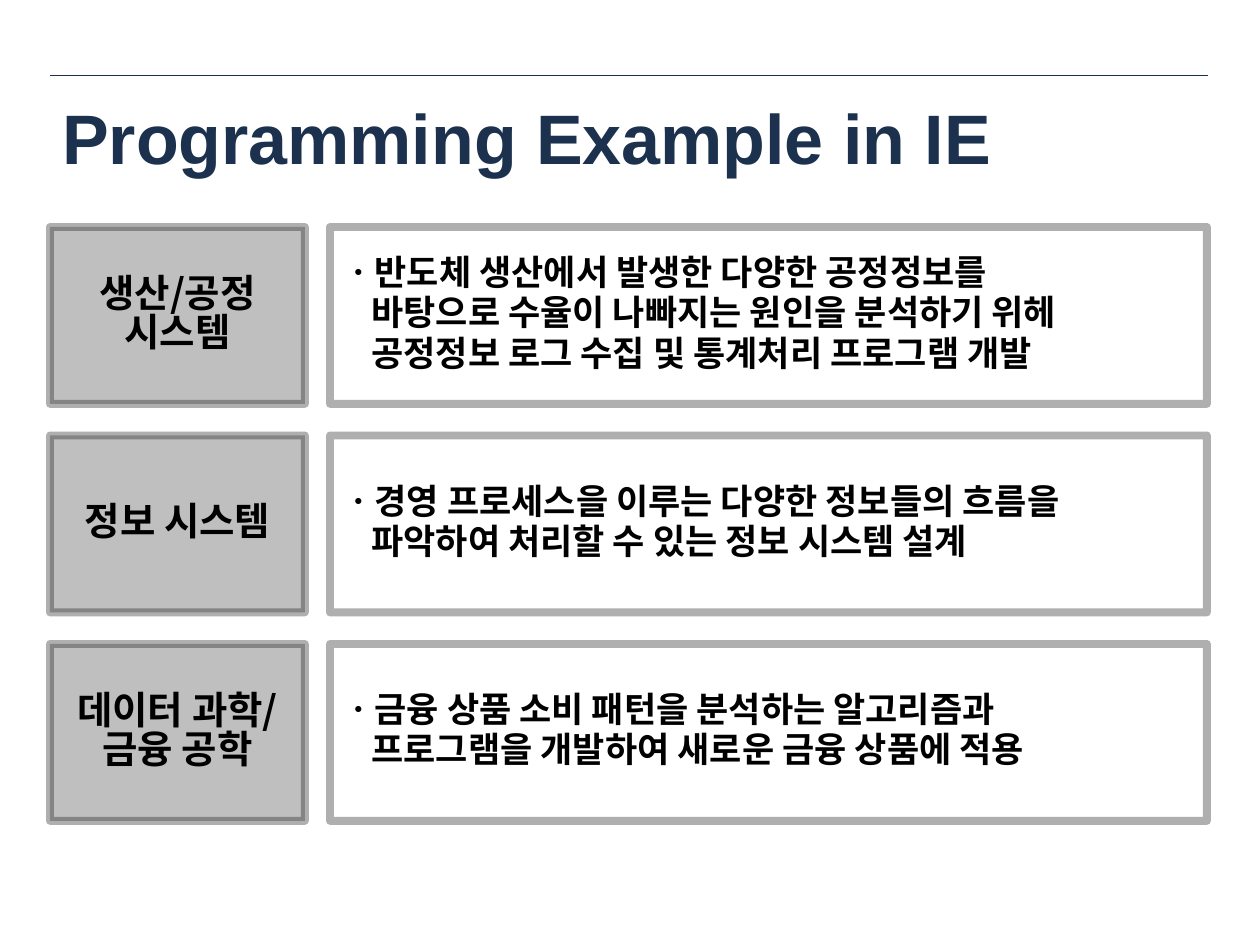
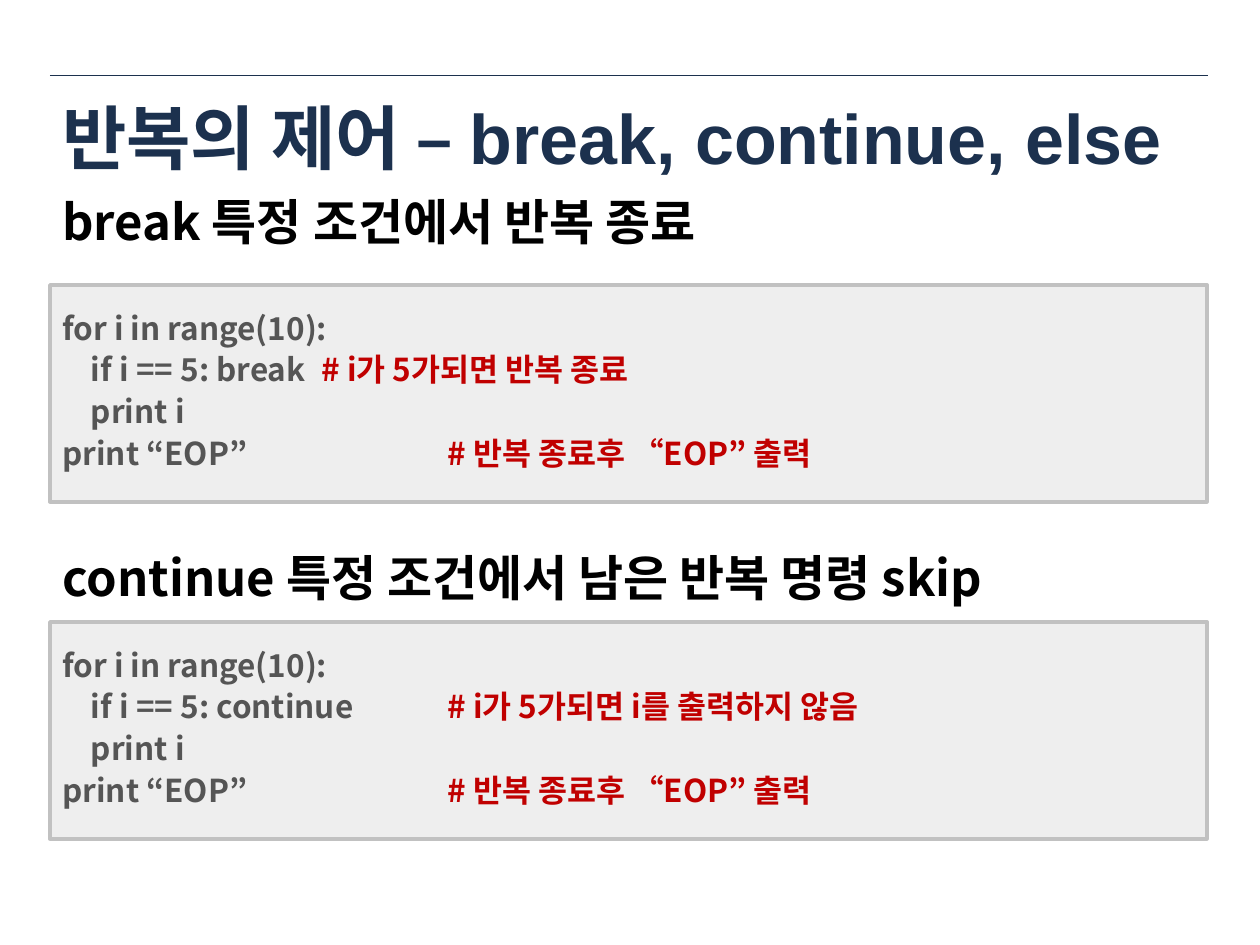
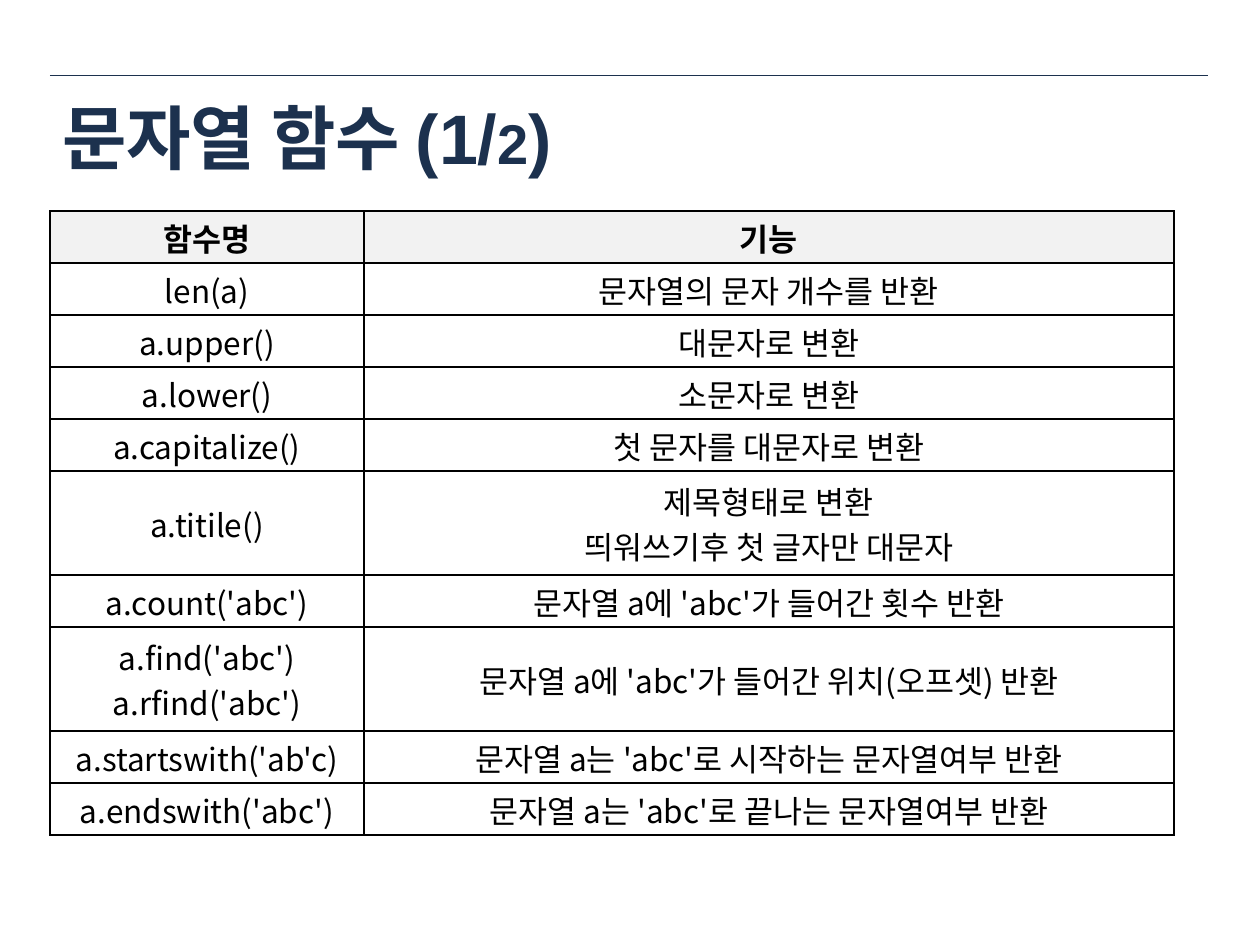
from lxml import etree
from pptx import Presentation
from pptx.dml.color import RGBColor
from pptx.enum.shapes import MSO_CONNECTOR, MSO_SHAPE
from pptx.enum.text import MSO_ANCHOR, PP_ALIGN
from pptx.oxml import parse_xml
from pptx.oxml.ns import nsdecls, qn
from pptx.util import Pt

RECTANGLE = MSO_SHAPE.RECTANGLE
STRAIGHT = MSO_CONNECTOR.STRAIGHT
MIDDLE = MSO_ANCHOR.MIDDLE
LEFT, CENTER = PP_ALIGN.LEFT, PP_ALIGN.CENTER

NAVY = RGBColor(0x1C, 0x31, 0x4E)
BLACK = RGBColor(0x00, 0x00, 0x00)
WHITE = RGBColor(0xFF, 0xFF, 0xFF)
LABEL_GRAY = RGBColor(0xBF, 0xBF, 0xBF)
BORDER_DARK = RGBColor(0x0D, 0x0D, 0x0D)
CODE_FILL = RGBColor(0xEE, 0xEE, 0xEE)
CODE_BORDER = RGBColor(0xC1, 0xC1, 0xC1)
CODE_TEXT = RGBColor(0x55, 0x55, 0x55)
COMMENT_RED = RGBColor(0xC0, 0x00, 0x00)
HEADER_FILL = RGBColor(0xF2, 0xF2, 0xF2)

TITLE_FONT = "Arial"
BODY_FONT = "Noto Sans CJK KR"
LINE_SPACING = 0.83
MARGIN = 50
CONTENT_WIDTH = 1157


def px(*lengths):
    """Turn pixels (126 to the inch) into EMU."""
    return [round(length * 914400 / 126) for length in lengths]


def write(paragraph, text, color, size, bold=True, name=BODY_FONT):
    """Add a run to the paragraph, with line breaks at newlines."""
    formats = {"size": Pt(size), "bold": bold, "name": name}
    for index, line in enumerate(text.split("\n")):
        if index:
            paragraph.add_line_break()
        run = paragraph.add_run()
        run.text = line
        run.font.color.rgb = color
        for attribute, value in formats.items():
            setattr(run.font, attribute, value)
        east_asian = etree.SubElement(run.font._element, qn("a:ea"))
        east_asian.set("typeface", BODY_FONT)


presentation = Presentation()
presentation.slide_width, presentation.slide_height = px(1260, 945)

# Rule and title on every slide
titles = [
    [("Programming Example in IE", 40)],
    [("반복의 제어 – break, continue, else", 40)],
    [("문자열 함수 (1/", 40), ("2", 32), (")", 40)],
]
slides = []
for title in titles:
    slide = presentation.slides.add_slide(presentation.slide_layouts[6])
    slides.append(slide)
    rule = slide.shapes.add_connector(STRAIGHT, *px(MARGIN, 75, 1208, 75))
    rule.line.color.rgb = NAVY
    rule.line.width = Pt(0.25)
    etree.SubElement(rule._element.spPr, qn("a:effectLst"))
    title_box = slide.shapes.add_textbox(*px(MARGIN, 78, CONTENT_WIDTH, 117))
    title_box.text_frame.word_wrap = True
    title_box.text_frame.vertical_anchor = MIDDLE
    for text, size in title:
        write(title_box.text_frame.paragraphs[0], text, NAVY, size, name=TITLE_FONT)
example_slide, loop_slide, string_slide = slides

# Slide 1: fields and their programming examples
examples = [
    (["생산/공정", "시스템"],
     ["ㆍ반도체 생산에서 발생한 다양한 공정정보를",
      "바탕으로 수율이 나빠지는 원인을 분석하기 위헤",
      "공정정보 로그 수집 및 통계처리 프로그램 개발"]),
    (["정보 시스템"],
     ["ㆍ경영 프로세스을 이루는 다양한 정보들의 흐름을",
      "파악하여 처리할 수 있는 정보 시스템 설계"]),
    (["데이터 과학/", "금융 공학"],
     ["ㆍ금융 상품 소비 패턴을 분석하는 알고리즘과",
      "프로그램을 개발하여 새로운 금융 상품에 적용"]),
]
HANGING_INDENT = px(29)[0]
for row, (label_lines, description_lines) in enumerate(examples):
    boxes = [
        (MARGIN, 255, LABEL_GRAY, label_lines, 22, CENTER, 0, 0),
        (330, 877, WHITE, description_lines, 20, LEFT, 3, HANGING_INDENT),
    ]
    for left, width, fill, lines, size, alignment, space_after, indent in boxes:
        box = example_slide.shapes.add_shape(
            RECTANGLE, *px(left, 227 + row * 208.5, width, 177))
        box.shadow.inherit = False
        box.fill.solid()
        box.fill.fore_color.rgb = fill
        box.line.color.rgb = BORDER_DARK
        box.line.width = Pt(4.5)
        line_color = box.line._ln.find(".//" + qn("a:srgbClr"))
        etree.SubElement(line_color, qn("a:alpha")).set("val", "32000")
        frame = box.text_frame
        frame.vertical_anchor = MIDDLE
        for index, line in enumerate(lines):
            paragraph = frame.add_paragraph() if index else frame.paragraphs[0]
            paragraph.alignment = alignment
            paragraph.line_spacing = LINE_SPACING
            paragraph.space_after = Pt(space_after)
            if index and indent:
                paragraph._p.get_or_add_pPr().set("marL", str(indent))
            write(paragraph, line, BLACK, size)

# Slide 2: loop control, each heading above its code
last_line = ("print “EOP”\t\t", " # 반복 종료후 “EOP” 출력")
sections = [
    (195, "break 특정 조건에서 반복 종료", 285,
     ("    if i == 5: break\t", " # i가 5가되면 반복 종료")),
    (551, "continue 특정 조건에서 남은 반복 명령 skip", 622,
     ("    if i == 5: continue\t", " # i가 5가되면 i를 출력하지 않음")),
]
TAB_STOPS = px(252, 378)
for heading_top, heading, code_top, condition in sections:
    code_box = loop_slide.shapes.add_shape(
        RECTANGLE, *px(MARGIN, code_top, CONTENT_WIDTH, 217))
    code_box.shadow.inherit = False
    code_box.fill.solid()
    code_box.fill.fore_color.rgb = CODE_FILL
    code_box.line.color.rgb = CODE_BORDER
    code_box.line.width = Pt(2)
    frame = code_box.text_frame
    frame.vertical_anchor = MIDDLE
    code_lines = [("for i in range(10):", ""), condition, ("    print i", ""), last_line]
    for index, (code, comment) in enumerate(code_lines):
        paragraph = frame.add_paragraph() if index else frame.paragraphs[0]
        paragraph.alignment = LEFT
        paragraph.line_spacing = LINE_SPACING
        paragraph.space_after = Pt(6)
        tabs = etree.SubElement(paragraph._p.get_or_add_pPr(), qn("a:tabLst"))
        for position in TAB_STOPS:
            etree.SubElement(tabs, qn("a:tab"), pos=str(position), algn="l")
        write(paragraph, code, CODE_TEXT, 18)
        if comment:
            write(paragraph, comment, COMMENT_RED, 18)

    heading_box = loop_slide.shapes.add_textbox(*px(MARGIN, heading_top, 1210, 72))
    heading_box.text_frame.word_wrap = True
    paragraph = heading_box.text_frame.paragraphs[0]
    paragraph.line_spacing = LINE_SPACING
    paragraph.space_after = Pt(10)
    write(paragraph, heading, BLACK, 28)

# Slide 3: table of string functions
functions = [
    ("함수명", "기능"),
    ("len(a)", "문자열의 문자 개수를 반환"),
    ("a.upper()", "대문자로 변환"),
    ("a.lower()", "소문자로 변환"),
    ("a.capitalize()", "첫 문자를 대문자로 변환"),
    ("a.titile()", "제목형태로 변환\n띄워쓰기후 첫 글자만 대문자"),
    ("a.count('abc')", "문자열 a에 'abc'가 들어간 횟수 반환"),
    ("a.find('abc')\na.rfind('abc')", "문자열 a에 'abc'가 들어간 위치(오프셋) 반환"),
    ("a.startswith('ab'c)", "문자열 a는 'abc'로 시작하는 문자열여부 반환"),
    ("a.endswith('abc')", "문자열 a는 'abc'로 끝나는 문자열여부 반환"),
]
ROW_HEIGHT = 52
INSET = px(1)[0]
cell_format = {
    "vertical_anchor": MIDDLE,
    "margin_left": INSET,
    "margin_right": INSET,
    "margin_top": INSET,
    "margin_bottom": 0,
}
table = string_slide.shapes.add_table(
    len(functions), 2, *px(MARGIN, 211, 1124, 12 * ROW_HEIGHT)).table
table.first_row = table.horz_banding = False
for column, width in zip(table.columns, px(314, 810)):
    column.width = width
for row, texts in enumerate(functions):
    line_count = max(text.count("\n") + 1 for text in texts)
    table.rows[row].height = px(ROW_HEIGHT * line_count)[0]
    for column, text in enumerate(texts):
        cell = table.cell(row, column)
        for attribute, value in cell_format.items():
            setattr(cell, attribute, value)
        properties = cell._tc.get_or_add_tcPr()
        for side in ("lnL", "lnR", "lnT", "lnB"):
            properties.append(parse_xml(
                f'<a:{side} {nsdecls("a")} w="{Pt(1)}"><a:solidFill>'
                f'<a:srgbClr val="{BLACK}"/></a:solidFill></a:{side}>'))
        cell.fill.solid()
        cell.fill.fore_color.rgb = WHITE if row else HEADER_FILL
        paragraph = cell.text_frame.paragraphs[0]
        paragraph.alignment = CENTER
        write(paragraph, text, BLACK, 18, bold=row == 0)

presentation.save("out.pptx")
